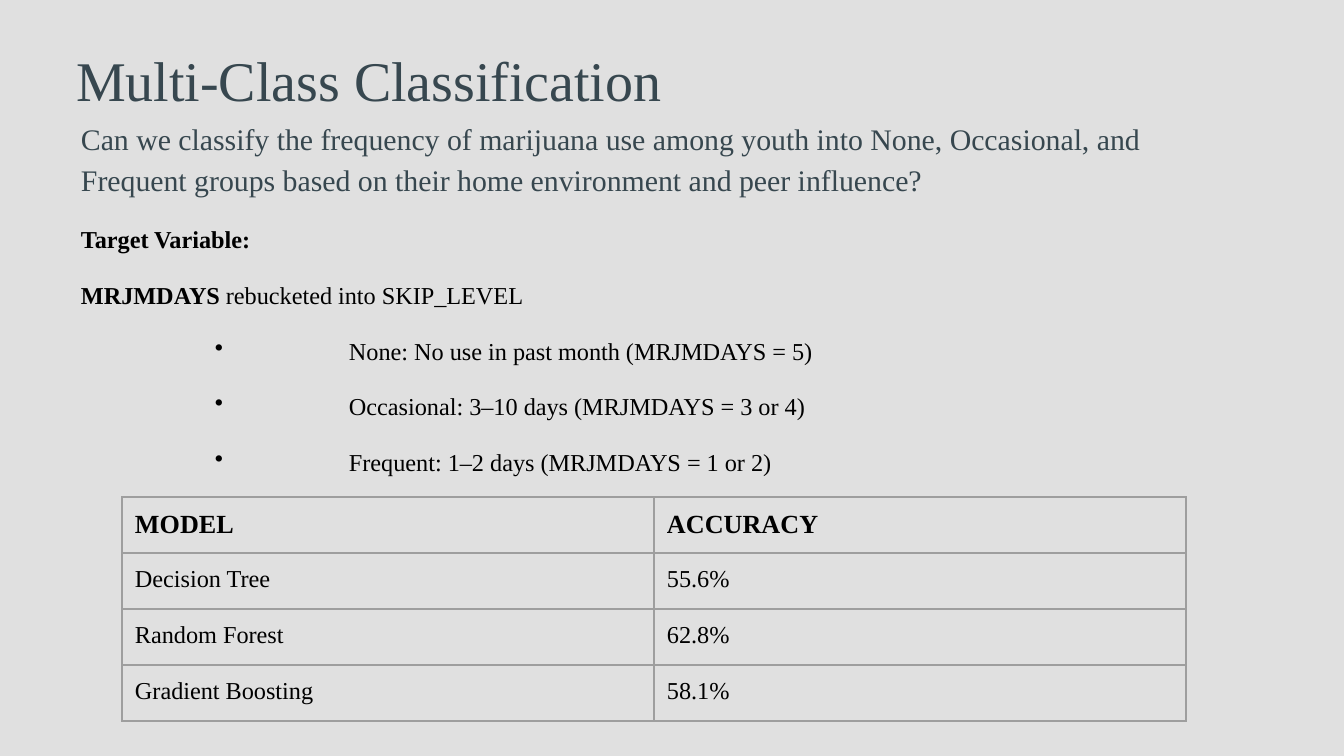
from lxml import etree
from pptx import Presentation
from pptx.dml.color import RGBColor
from pptx.enum.text import MSO_ANCHOR, MSO_AUTO_SIZE, PP_ALIGN
from pptx.oxml.ns import qn
from pptx.util import Emu, Pt

TOP = MSO_ANCHOR.TOP
NO_FIT = MSO_AUTO_SIZE.NONE
LEFT = PP_ALIGN.LEFT
TITLE_ONLY = 5
PX = 914400 / 134.4
INSET = 13
TAB = 134
FONT = "Times New Roman"
SLATE = "37474F"
BLACK = "000000"
BACKGROUND = "E0E0E0"
BORDER = "9E9E9E"

QUESTION = (
    "Can we classify the frequency of marijuana use among youth into None, "
    "Occasional, and Frequent groups based on their home environment and peer influence?"
)
LEVELS = [
    "None: No use in past month (MRJMDAYS = 5)",
    "Occasional: 3–10 days (MRJMDAYS = 3 or 4)",
    "Frequent: 1–2 days (MRJMDAYS = 1 or 2)",
]
RESULTS = [
    ("MODEL", "ACCURACY"),
    ("Decision Tree", "55.6%"),
    ("Random Forest", "62.8%"),
    ("Gradient Boosting", "58.1%"),
]


def px(length):
    return Emu(round(length * PX))


def color(value):
    return RGBColor.from_string(value)


def add_span(para, text, size, ink=BLACK, bold=False):
    span = para.add_run()
    span.text = text
    span.font.name = FONT
    span.font.size = Pt(size)
    span.font.bold = bold
    span.font.color.rgb = color(ink)


def set_insets(area):
    area.margin_left = area.margin_right = px(INSET)
    area.margin_top = area.margin_bottom = px(INSET)


def format_frame(frame):
    set_insets(frame)
    frame.word_wrap = True
    frame.auto_size = NO_FIT
    frame.vertical_anchor = TOP


def add_title(page, text):
    title = page.shapes.title
    title.left, title.top, title.width, title.height = map(px, (63, 32, 964, 95))
    format_frame(title.text_frame)
    para = title.text_frame.paragraphs[0]
    para.alignment = LEFT
    add_span(para, text, 30, SLATE)


def add_bullet(para):
    properties = para._p.get_or_add_pPr()
    properties.set("marL", str(px(2 * TAB)))
    properties.set("indent", str(-px(TAB)))
    etree.SubElement(properties, qn("a:buChar"), char="•")


def add_description(page):
    box = page.shapes.add_textbox(*map(px, (68, 102, 1173, 520)))
    frame = box.text_frame
    format_frame(frame)
    paragraphs = [
        [(QUESTION, 16, SLATE)],
        [("Target Variable:", 13, BLACK, True)],
        [("MRJMDAYS", 13, BLACK, True), (" rebucketed into SKIP_LEVEL", 13)],
    ] + [[(level, 13)] for level in LEVELS]
    for index, spans in enumerate(paragraphs):
        para = frame.add_paragraph() if index else frame.paragraphs[0]
        para.line_spacing = 1.15
        para.space_before = Pt(12)
        for span in spans:
            add_span(para, *span)
        if spans[0][0] in LEVELS:
            add_bullet(para)


def add_borders(cell):
    properties = cell._tc.get_or_add_tcPr()
    for position, side in enumerate(("lnL", "lnR", "lnT", "lnB")):
        line = etree.Element(qn(f"a:{side}"), w=str(Pt(0.75)))
        fill = etree.SubElement(line, qn("a:solidFill"))
        etree.SubElement(fill, qn("a:srgbClr"), val=BORDER)
        properties.insert(position, line)


def add_results(page):
    bounds = map(px, (122, 497, 1064, 226))
    table = page.shapes.add_table(len(RESULTS), len(RESULTS[0]), *bounds).table
    table.horz_banding = False
    table.first_row = False
    for column in table.columns:
        column.width = px(532)
    for row_index, values in enumerate(RESULTS):
        header = row_index == 0
        table.rows[row_index].height = px(56)
        for column_index, value in enumerate(values):
            cell = table.cell(row_index, column_index)
            set_insets(cell)
            cell.fill.background()
            add_borders(cell)
            add_span(cell.text_frame.paragraphs[0], value, 14 if header else 13, bold=header)


def main():
    deck = Presentation()
    deck.slide_width, deck.slide_height = px(1344), px(756)
    page = deck.slides.add_slide(deck.slide_layouts[TITLE_ONLY])
    page.background.fill.solid()
    page.background.fill.fore_color.rgb = color(BACKGROUND)
    add_title(page, "Multi-Class Classification")
    add_description(page)
    add_results(page)
    deck.save("out.pptx")


if __name__ == "__main__":
    main()
